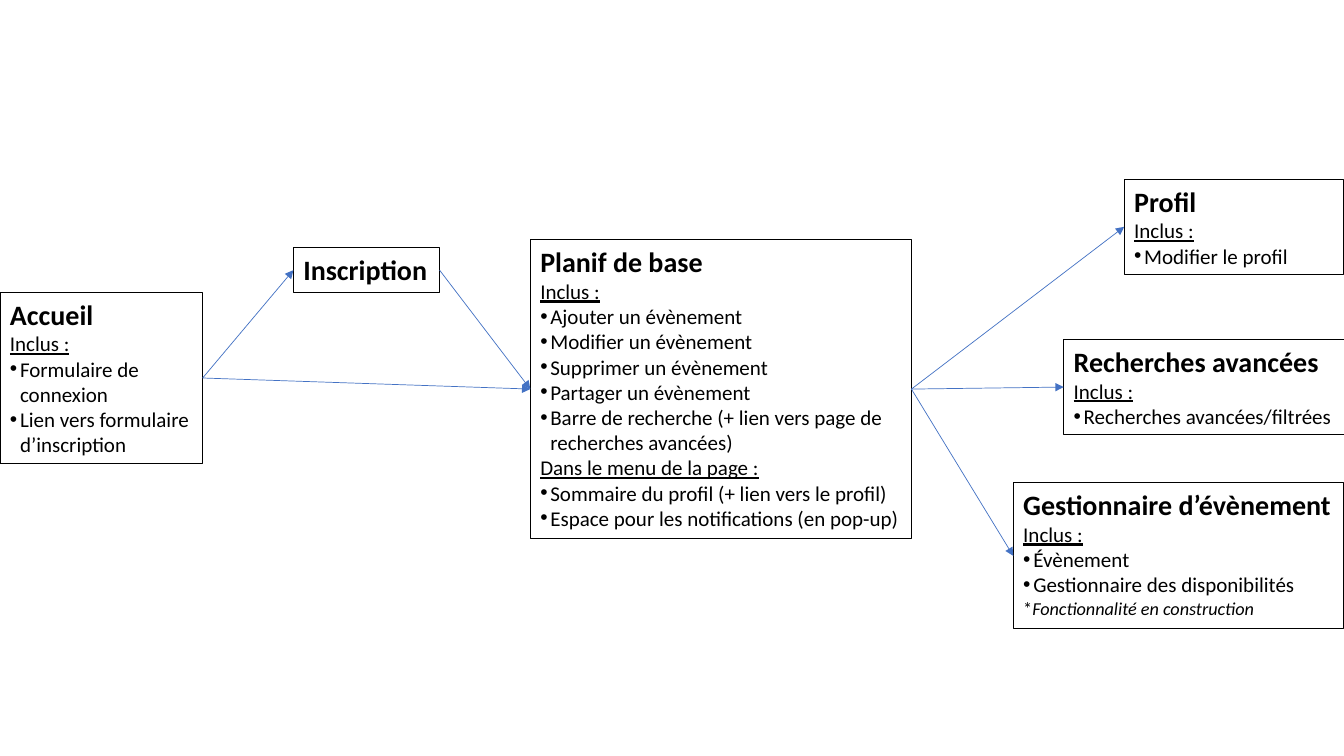
"""Build the page-flow diagram of an event planner."""
from dataclasses import dataclass

from lxml import etree
from pptx import Presentation
from pptx.dml.color import RGBColor
from pptx.enum.shapes import MSO_CONNECTOR
from pptx.enum.text import MSO_AUTO_SIZE
from pptx.oxml.ns import qn
from pptx.util import Inches, Pt

STRAIGHT = MSO_CONNECTOR.STRAIGHT
FIT_SHAPE = MSO_AUTO_SIZE.SHAPE_TO_FIT_TEXT
LEFT_SITE, RIGHT_SITE = 1, 3


@dataclass(frozen=True)
class Theme:
    """Font, colours, type sizes and line widths."""
    font: str = "Calibri"
    ink: RGBColor = RGBColor(0x00, 0x00, 0x00)
    arrow: RGBColor = RGBColor(0x44, 0x72, 0xC4)
    title: Pt = Pt(20)
    body: Pt = Pt(15)
    note: Pt = Pt(13)
    border: Pt = Pt(0.75)
    arrow_width: Pt = Pt(0.5)


@dataclass(frozen=True)
class Section:
    """An underlined heading with its bullets."""
    heading: str
    bullets: tuple[str, ...]


@dataclass(frozen=True)
class Page:
    """One boxed page of the application."""
    title: str
    left: float
    top: float
    width: float
    height: float
    sections: tuple[Section, ...] = ()
    note: str = ""
    wrap: bool = True


THEME = Theme()
PAGES = {
    "accueil": Page("Accueil", 0, 2.9, 2.01, 1.7, (
        Section("Inclus :", ("Formulaire de connexion",
                             "Lien vers formulaire d’inscription")),)),
    "inscription": Page("Inscription", 2.91, 2.46, 1.45, 0.44, wrap=False),
    "planif": Page("Planif de base", 5.26, 2.38, 3.78, 2.96, (
        Section("Inclus :", (
            "Ajouter un évènement",
            "Modifier un évènement",
            "Supprimer un évènement",
            "Partager un évènement",
            "Barre de recherche (+ lien vers page de recherches avancées)")),
        Section("Dans le menu de la page :", (
            "Sommaire du profil (+ lien vers le profil)",
            "Espace pour les notifications (en pop-up)")))),
    "profil": Page("Profil", 11.15, 1.78, 2.18, 0.94, (
        Section("Inclus :", ("Modifier le profil",)),)),
    "recherches": Page("Recherches avancées", 10.55, 3.37, 2.79, 0.94, (
        Section("Inclus :", ("Recherches avancées/filtrées",)),), wrap=False),
    "gestionnaire": Page("Gestionnaire d’évènement", 10.05, 4.79, 3.28, 1.45, (
        Section("Inclus :", ("Évènement", "Gestionnaire des disponibilités")),),
        note="Fonctionnalité en construction", wrap=False),
}
FLOWS = (
    ("accueil", "inscription"),
    ("inscription", "planif"),
    ("planif", "profil"),
    ("planif", "gestionnaire"),
    ("planif", "recherches"),
    ("accueil", "planif"),
)


def add_run(p, text: str, size: Pt = THEME.body, bold: bool = False,
            italic: bool = False, underline: bool = False) -> None:
    """Append formatted text to a paragraph."""
    r = p.add_run()
    r.text = text
    font = r.font
    font.name, font.size = THEME.font, size
    font.bold, font.italic, font.underline = bold, italic, underline
    font.color.rgb = THEME.ink


def add_bullet(p, text: str) -> None:
    """Fill a paragraph as a bullet with a hanging indent."""
    pPr = p._p.get_or_add_pPr()
    pPr.set("marL", str(Inches(0.1)))
    pPr.set("indent", str(Inches(-0.1)))
    etree.SubElement(pPr, qn("a:buFont"), typeface="Arial")
    etree.SubElement(pPr, qn("a:buChar"), char="•")
    add_run(p, text)


def add_page(s, page: Page):
    """Draw a page box with its text and return it."""
    sp = s.shapes.add_textbox(Inches(page.left), Inches(page.top),
                              Inches(page.width), Inches(page.height))
    sp.line.color.rgb = THEME.ink
    sp.line.width = THEME.border
    tf = sp.text_frame
    tf.word_wrap = page.wrap
    tf.auto_size = FIT_SHAPE
    add_run(tf.paragraphs[0], page.title, size=THEME.title, bold=True)
    for section in page.sections:
        add_run(tf.add_paragraph(), section.heading, underline=True)
        for bullet in section.bullets:
            add_bullet(tf.add_paragraph(), bullet)
    if page.note:
        p = tf.add_paragraph()
        add_run(p, "*", size=THEME.note)
        add_run(p, page.note, size=THEME.note, italic=True)
    return sp


def add_arrow(s, source, target) -> None:
    """Connect the right side of one box to the left side of another."""
    cx = s.shapes.add_connector(STRAIGHT, 0, 0, 0, 0)
    cx.begin_connect(source, RIGHT_SITE)
    cx.end_connect(target, LEFT_SITE)
    cx.line.color.rgb = THEME.arrow
    cx.line.width = THEME.arrow_width
    etree.SubElement(cx.line._get_or_add_ln(), qn("a:tailEnd"), type="triangle")
    etree.SubElement(cx._element.spPr, qn("a:effectLst"))


def main() -> None:
    """Build and save the slide."""
    prs = Presentation()
    prs.slide_width, prs.slide_height = Inches(13.33), Inches(7.5)
    s = prs.slides.add_slide(prs.slide_layouts[6])
    boxes = {name: add_page(s, page) for name, page in PAGES.items()}
    for source, target in FLOWS:
        add_arrow(s, boxes[source], boxes[target])
    prs.save("out.pptx")


main()
